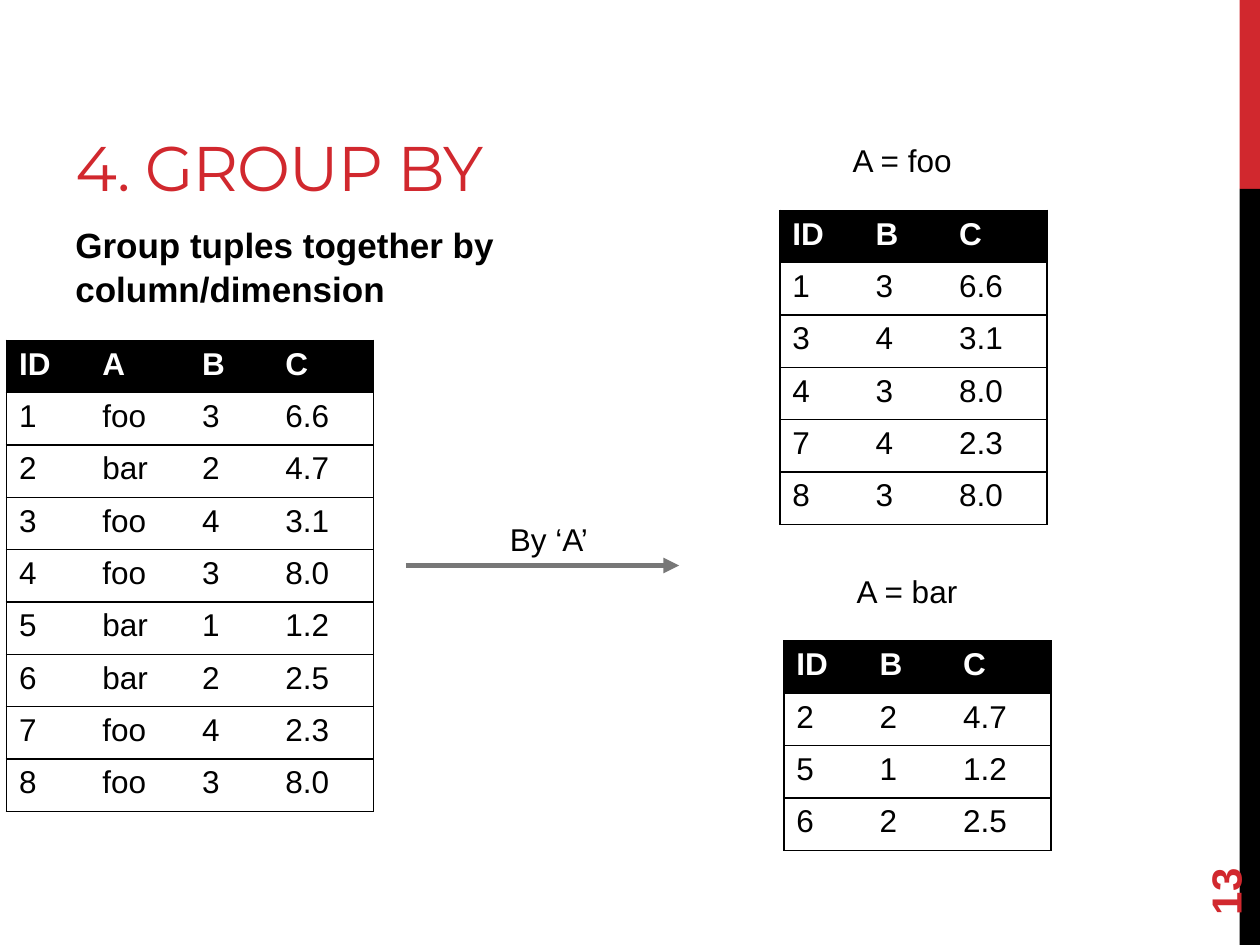
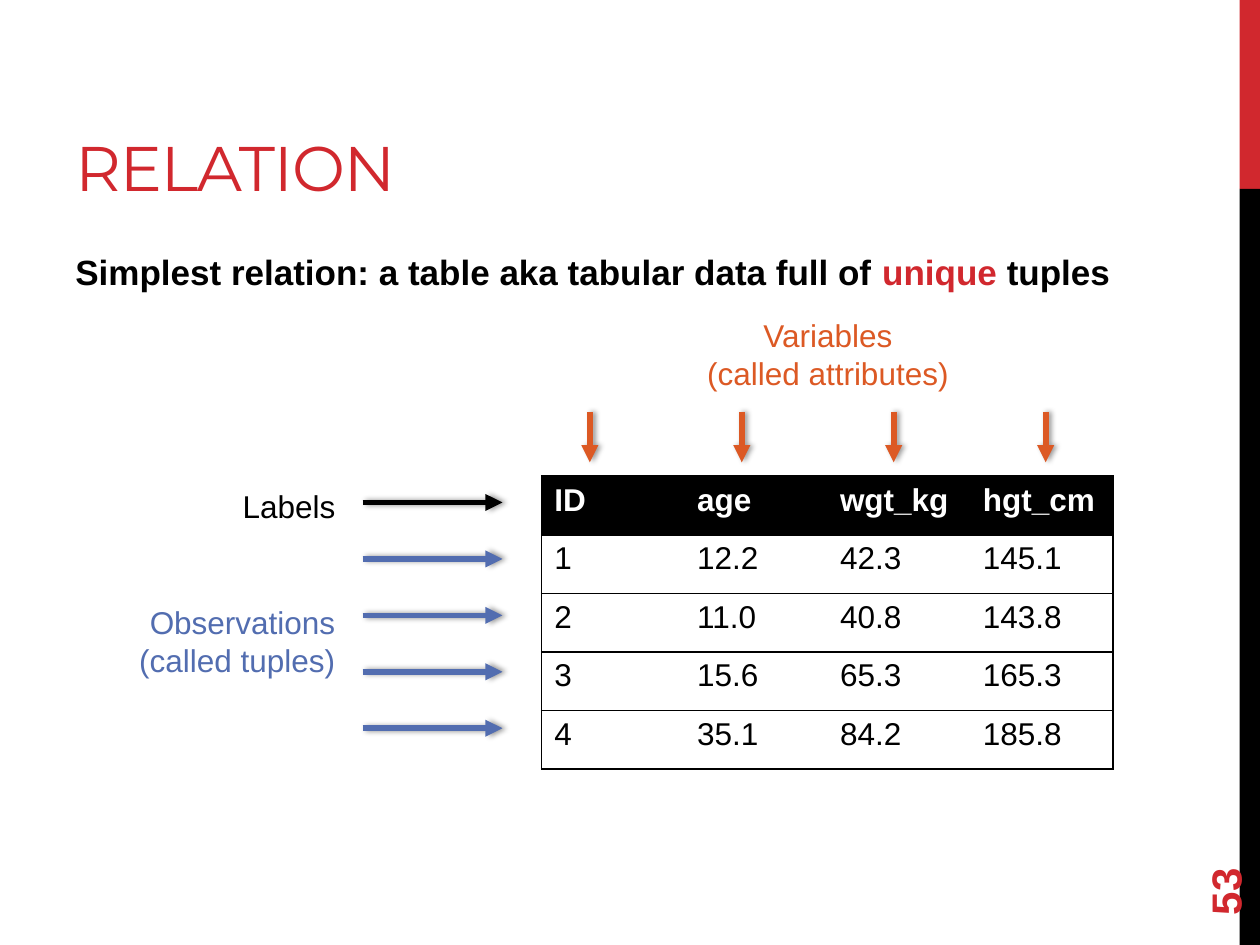
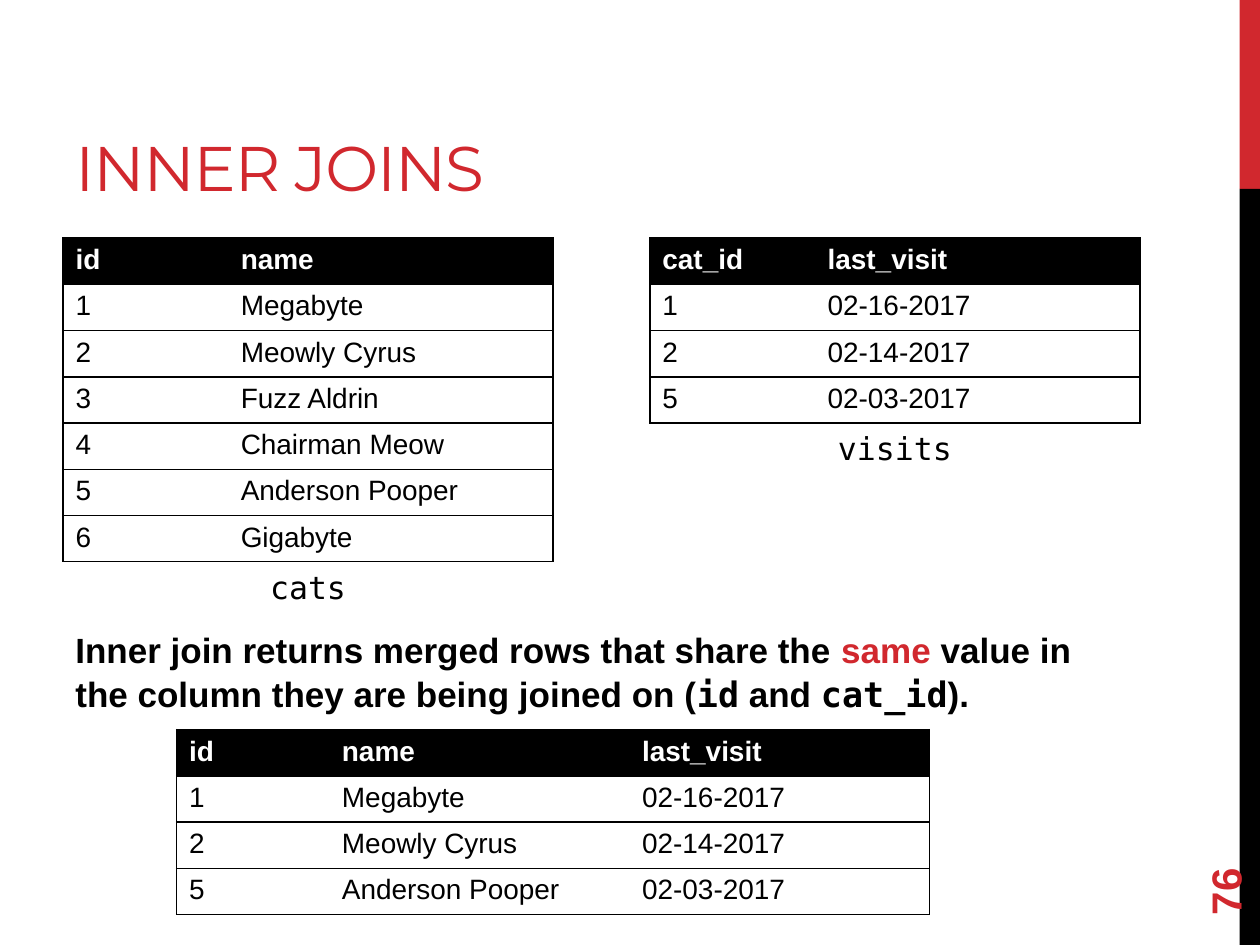
from dataclasses import dataclass, replace

from lxml import etree
from pptx import Presentation
from pptx import util as u
from pptx.dml.color import RGBColor
from pptx.enum import shapes, text
from pptx.oxml import ns


@dataclass(frozen=True)
class TextStyle:
    size: int
    color: str
    font: str = "Arial"
    bold: bool = False
    spacing: int = 0


@dataclass(frozen=True)
class Theme:
    red: str = "D1282E"
    black: str = "000000"
    white: str = "FFFFFF"
    gray: str = "777777"
    blue: str = "526DB0"
    orange: str = "DC5924"
    mono: str = "DejaVu Sans Mono"
    title: TextStyle = TextStyle(36, red, "Montserrat", spacing=-60)
    body: TextStyle = TextStyle(20, black, bold=True)
    label: TextStyle = TextStyle(18, black)
    number: TextStyle = TextStyle(24, red, bold=True)
    small_cell: TextStyle = TextStyle(16, black)


@dataclass(frozen=True)
class Box:
    left: float
    top: float
    width: float
    height: float

    def emu(self):
        return [u.Cm(value) for value in (self.left, self.top, self.width, self.height)]

    def inner(self, left, top, width, height):
        return Box(self.left + left, self.top + top, width, height)


THEME = Theme()
PAGE = Box(0, 0, 25.4, 19.05)
BAND_WIDTH = 0.41
RED_BAND_HEIGHT = 3.81
LABEL_HEIGHT = 1.02
RIGHT, CENTER = text.PP_ALIGN.RIGHT, text.PP_ALIGN.CENTER

RELATION = [
    ("ID", "A", "B", "C"),
    ("1", "foo", "3", "6.6"),
    ("2", "bar", "2", "4.7"),
    ("3", "foo", "4", "3.1"),
    ("4", "foo", "3", "8.0"),
    ("5", "bar", "1", "1.2"),
    ("6", "bar", "2", "2.5"),
    ("7", "foo", "4", "2.3"),
    ("8", "foo", "3", "8.0"),
]
PEOPLE = [
    ("ID", "age", "wgt_kg", "hgt_cm"),
    ("1", "12.2", "42.3", "145.1"),
    ("2", "11.0", "40.8", "143.8"),
    ("3", "15.6", "65.3", "165.3"),
    ("4", "35.1", "84.2", "185.8"),
]
CATS = [
    ("id", "name"),
    ("1", "Megabyte"),
    ("2", "Meowly Cyrus"),
    ("3", "Fuzz Aldrin"),
    ("4", "Chairman Meow"),
    ("5", "Anderson Pooper"),
    ("6", "Gigabyte"),
]
VISITS = [
    ("cat_id", "last_visit"),
    ("1", "02-16-2017"),
    ("2", "02-14-2017"),
    ("5", "02-03-2017"),
]


def format_run(run, style):
    run.font.size = u.Pt(style.size)
    run.font.name = style.font
    run.font.bold = style.bold
    run.font.color.rgb = RGBColor.from_string(style.color)
    if style.spacing:
        run.font._element.set("spc", str(style.spacing))


def format_frame(frame, style, align=None):
    for paragraph in frame.paragraphs:
        paragraph.alignment = align
        for run in paragraph.runs:
            format_run(run, style)


def draw_text(slide, box, content, style, align=None, anchor=text.MSO_ANCHOR.TOP, wrap=True):
    shape = slide.shapes.add_textbox(*box.emu())
    frame = shape.text_frame
    frame.word_wrap = wrap
    frame.vertical_anchor = anchor
    frame.text = content
    format_frame(frame, style, align)
    return shape


def draw_body(slide, box, *pieces):
    frame = draw_text(slide, box, "", THEME.body).text_frame
    paragraph = frame.paragraphs[0]
    paragraph.line_spacing = 1.05
    paragraph.space_after = u.Pt(6)
    for content, changes in pieces:
        run = paragraph.add_run()
        run.text = content
        format_run(run, replace(THEME.body, **changes))


def draw_band(slide, box, color):
    shape = slide.shapes.add_shape(shapes.MSO_SHAPE.RECTANGLE, *box.emu())
    shape.shadow.inherit = False
    shape.fill.solid()
    shape.fill.fore_color.rgb = RGBColor.from_string(color)
    shape.line.fill.background()


def draw_frame(slide, box, title, number):
    band_left = box.width - BAND_WIDTH
    draw_band(slide, box.inner(band_left, 0, BAND_WIDTH, RED_BAND_HEIGHT), THEME.red)
    black_height = box.height - RED_BAND_HEIGHT
    draw_band(slide, box.inner(band_left, RED_BAND_HEIGHT, BAND_WIDTH, black_height), THEME.black)
    draw_text(slide, box.inner(1.27, 0.43, 18.08, 3.81), title, THEME.title,
              anchor=text.MSO_ANCHOR.BOTTOM)
    page_number = draw_text(slide, box.inner(22.86, 16.36, 3.66, LABEL_HEIGHT), number,
                            THEME.number, anchor=text.MSO_ANCHOR.MIDDLE)
    page_number.rotation = 270


def set_border(cell, side, color=None):
    line = etree.SubElement(cell._tc.get_or_add_tcPr(), ns.qn(f"a:ln{side}"), w=str(u.Pt(1)))
    if color:
        fill = etree.SubElement(line, ns.qn("a:solidFill"))
        etree.SubElement(fill, ns.qn("a:srgbClr"), val=color)
    else:
        etree.SubElement(line, ns.qn("a:noFill"))


def draw_grid(slide, box, widths, rows, style):
    table = slide.shapes.add_table(len(rows), len(widths), *box.emu()).table
    for column, width in zip(table.columns, widths):
        column.width = u.Cm(width)
    header = replace(style, color=THEME.white, bold=True)
    last = len(widths) - 1
    for row_index, values in enumerate(rows):
        table.rows[row_index].height = u.Cm(box.height / len(rows))
        for column_index, value in enumerate(values):
            cell = table.cell(row_index, column_index)
            cell.text = value
            format_frame(cell.text_frame, style if row_index else header)
            set_border(cell, "L", None if column_index else THEME.black)
            set_border(cell, "R", THEME.black if column_index == last else None)
            set_border(cell, "T", THEME.black)
            set_border(cell, "B", THEME.black)
            cell.fill.solid()
            cell.fill.fore_color.rgb = RGBColor.from_string(
                THEME.white if row_index else THEME.black)


def draw_arrow(slide, box, color, weight, shadow=False):
    left, top, width, height = box.emu()
    connector = slide.shapes.add_connector(
        shapes.MSO_CONNECTOR.STRAIGHT, left, top, left + width, top + height)
    connector.line.color.rgb = RGBColor.from_string(color)
    connector.line.width = u.Pt(weight)
    etree.SubElement(connector.line._get_or_add_ln(), ns.qn("a:tailEnd"), type="triangle")
    effects = etree.SubElement(connector._element.spPr, ns.qn("a:effectLst"))
    if shadow:
        outer = etree.SubElement(effects, ns.qn("a:outerShdw"), blurRad=str(u.Pt(3.1)),
                                 dist=str(u.Pt(1.8)), dir="0", rotWithShape="0")
        shade = etree.SubElement(outer, ns.qn("a:srgbClr"), val=THEME.black)
        etree.SubElement(shade, ns.qn("a:alpha"), val="40000")


def draw_group(slide, box, key):
    rows = [(row[0], *row[2:]) for row in RELATION if row[1] in ("A", key)]
    draw_text(slide, box.inner(1.22, 0, 2.54, LABEL_HEIGHT), f"A = {key}", THEME.label, wrap=False)
    table_top = 1.52
    draw_grid(slide, box.inner(0, table_top, box.width, box.height - table_top),
              (1.68, 1.68, 2.03), rows, THEME.label)


def draw_step(slide, box, label):
    draw_text(slide, box.inner(1.85, 0, 3.12, LABEL_HEIGHT), label, THEME.label)
    draw_arrow(slide, box.inner(0, box.height, box.width, 0), THEME.gray, 3)


def draw_attribute_pointers(slide, box, count):
    draw_text(slide, box.inner(2.08, 0, 5.44, 1.8), "Variables\n(called attributes)",
              replace(THEME.label, color=THEME.orange), CENTER)
    pitch = box.width / (count - 1)
    for index in range(count):
        draw_arrow(slide, box.inner(index * pitch, 2.06, 0, box.height - 2.06),
                   THEME.orange, 3.25, shadow=True)


def draw_row_pointers(slide, box, count):
    arrow_left, first_arrow = 5.28, 0.43
    label_width = arrow_left - 0.3
    draw_text(slide, box.inner(0, 0, label_width, LABEL_HEIGHT), "Labels", THEME.label, RIGHT)
    draw_text(slide, box.inner(0, 2.34, label_width, 1.8), "Observations\n(called tuples)",
              replace(THEME.label, color=THEME.blue), RIGHT)
    pitch = (box.height - first_arrow) / (count - 1)
    for index in range(count):
        draw_arrow(slide,
                   box.inner(arrow_left, first_arrow + index * pitch, box.width - arrow_left, 0),
                   THEME.blue if index else THEME.black, 3.25, shadow=True)


def draw_named_grid(slide, box, rows, name):
    draw_grid(slide, box, (3.33, 6.55), rows, THEME.small_cell)
    draw_text(slide, box.inner(0, box.height, box.width, LABEL_HEIGHT), name,
              replace(THEME.label, font=THEME.mono), CENTER)


def build_group_by(slide, box):
    draw_frame(slide, box, "4. GROUP BY", "13")
    draw_body(slide, box.inner(1.27, 4.34, 14.38, 2.08),
              ("Group tuples together by column/dimension", {}))
    draw_grid(slide, box.inner(0.13, 6.86, 7.39, 9.5), (1.68, 2.01, 1.68, 2.03),
              RELATION, THEME.label)
    draw_group(slide, box.inner(15.72, 2.72, 5.38, 7.85), "foo")
    draw_group(slide, box.inner(15.8, 11.4, 5.38, 5.74), "bar")
    draw_step(slide, box.inner(8.18, 10.36, 5.51, 1.04), "By ‘A’")


def build_relation(slide, box):
    draw_frame(slide, box, "RELATION", "53")
    draw_body(slide, box.inner(1.27, 4.88, 21.67, 12.14),
              ("Simplest relation: a table aka tabular data full of ", {}),
              ("unique", {"color": THEME.red}),
              (" tuples", {}))
    draw_grid(slide, box.inner(10.92, 9.6, 11.51, 5.9), (2.88,) * 4, PEOPLE, THEME.label)
    draw_row_pointers(slide, box.inner(2.03, 9.7, 8.1, 4.98), len(PEOPLE))
    draw_attribute_pointers(slide, box.inner(11.89, 6.25, 9.19, 3.07), len(PEOPLE[0]))


def build_inner_joins(slide, box):
    visit_dates = dict(VISITS)
    joined = [("id", "name", "last_visit")]
    joined += [(*cat, visit_dates[cat[0]]) for cat in CATS if cat[0] in visit_dates]
    draw_frame(slide, box, "INNER JOINS", "76")
    draw_named_grid(slide, box.inner(1.27, 4.8, 9.88, 6.53), CATS, "cats")
    draw_named_grid(slide, box.inner(13.1, 4.8, 9.88, 3.73), VISITS, "visits")
    draw_body(slide, box.inner(1.27, 12.5, 21.16, 3.94),
              ("Inner join returns merged rows that share the ", {}),
              ("same", {"color": THEME.red}),
              (" value in the column they are being joined on (", {}),
              ("id", {"font": THEME.mono}),
              (" and ", {}),
              ("cat_id", {"font": THEME.mono}),
              (").", {}))
    draw_grid(slide, box.inner(3.56, 14.71, 15.18, 3.73), (3.08, 6.05, 6.05),
              joined, THEME.small_cell)


def main():
    presentation = Presentation()
    presentation.slide_width = u.Cm(PAGE.width)
    presentation.slide_height = u.Cm(PAGE.height)
    blank = presentation.slide_layouts[6]
    for build in (build_group_by, build_relation, build_inner_joins):
        build(presentation.slides.add_slide(blank), PAGE)
    presentation.save("out.pptx")


if __name__ == "__main__":
    main()
